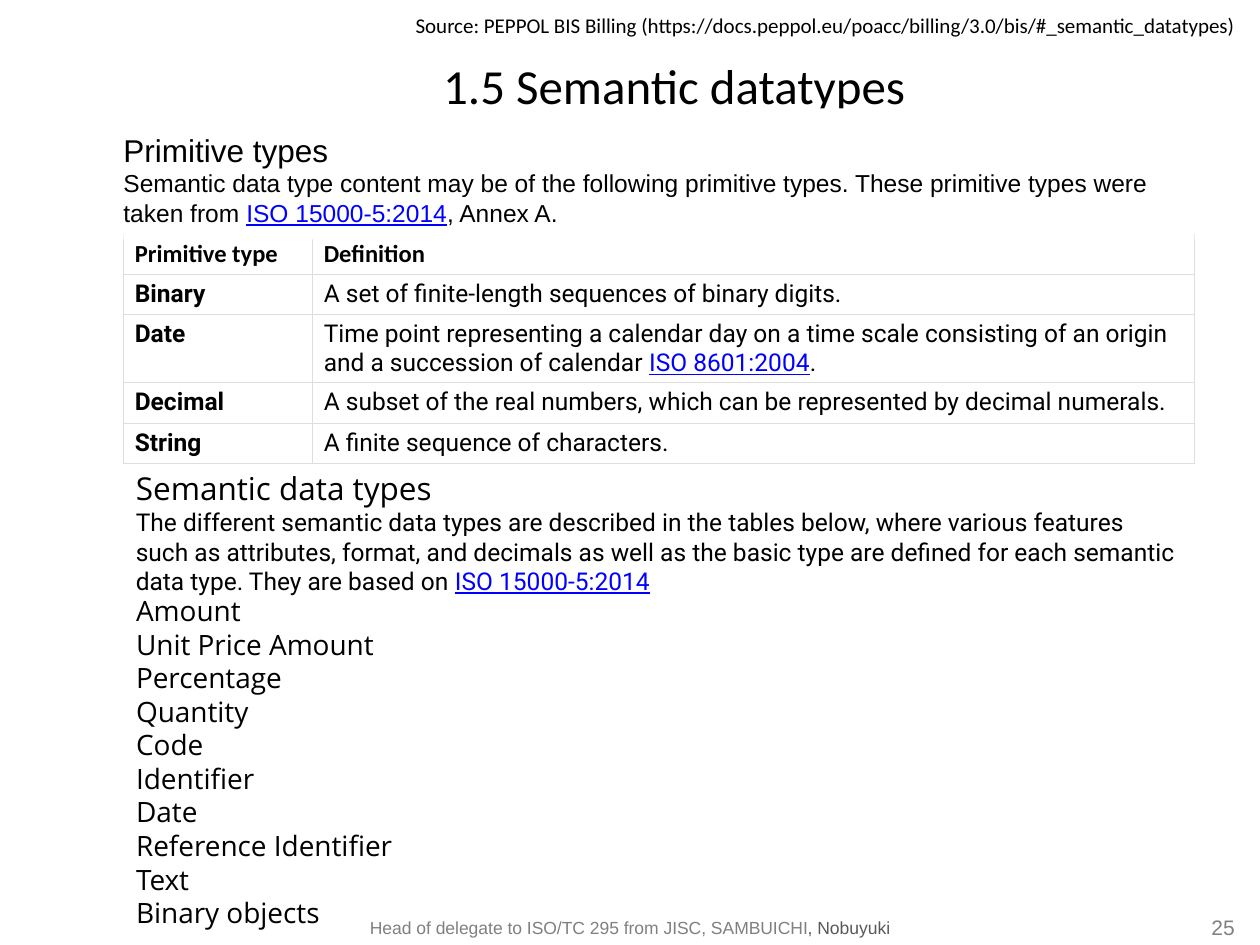
from lxml import etree
from pptx import Presentation
from pptx.dml.color import RGBColor
from pptx.enum.shapes import MSO_SHAPE
from pptx.enum.text import MSO_ANCHOR, MSO_AUTO_SIZE, PP_ALIGN
from pptx.oxml.ns import qn
from pptx.util import Pt

PX = 9144
BLACK = RGBColor(0x00, 0x00, 0x00)
WHITE = RGBColor(0xFF, 0xFF, 0xFF)
LINK = RGBColor(0x00, 0x00, 0xFF)
GRAY = RGBColor(0x80, 0x80, 0x80)
DARK_GRAY = RGBColor(0x59, 0x59, 0x59)
BORDER = RGBColor(0xDE, 0xDE, 0xDE)

RECT = MSO_SHAPE.RECTANGLE
TOP, MIDDLE, BOTTOM = MSO_ANCHOR.TOP, MSO_ANCHOR.MIDDLE, MSO_ANCHOR.BOTTOM
LEFT, CENTER, RIGHT = PP_ALIGN.LEFT, PP_ALIGN.CENTER, PP_ALIGN.RIGHT
NO_FIT = MSO_AUTO_SIZE.NONE

PRIMITIVES = [
    ("Binary", [("A set of finite-length sequences of binary digits.", BLACK)]),
    ("Date", [
        ("Time point representing a calendar day on a time scale consisting of "
         "an origin and a succession of calendar ", BLACK),
        ("ISO 8601:2004", LINK),
        (".", BLACK),
    ]),
    ("Decimal", [("A subset of the real numbers, which can be represented by "
                  "decimal numerals.", BLACK)]),
    ("String", [("A finite sequence of characters.", BLACK)]),
]
DATA_TYPES = ["Amount", "Unit Price Amount", "Percentage", "Quantity", "Code",
              "Identifier", "Date", "Reference Identifier", "Text",
              "Binary objects"]


def emu(*lengths):
    return [length * PX for length in lengths]


def place(sp, box):
    sp.left, sp.top, sp.width, sp.height = emu(*box)


def frame(tf, insets=(10, 5, 10, 5), anchor=TOP):
    tf.word_wrap = True
    tf.auto_size = NO_FIT
    tf.vertical_anchor = anchor
    (tf.margin_left, tf.margin_top,
     tf.margin_right, tf.margin_bottom) = emu(*insets)


def write(p, runs, font, size, bold=False, align=LEFT, spacing=None):
    p.alignment = align
    if spacing:
        p.line_spacing = Pt(spacing)
    for text, color in runs:
        r = p.add_run()
        r.text = text
        r.font.name = font
        r.font.size = Pt(size)
        r.font.bold = bold
        r.font.underline = color == LINK
        r.font.color.rgb = color


def add_text(slide, box, **layout):
    tf = slide.shapes.add_textbox(*emu(*box)).text_frame
    frame(tf, **layout)
    return tf


def add_title(slide, box):
    sp = slide.shapes.title
    place(sp, box)
    frame(sp.text_frame, (0, 0, 0, 0), BOTTOM)
    write(sp.text_frame.paragraphs[0], [("1.5 Semantic datatypes", BLACK)],
          "Calibri", 28, align=CENTER)


def add_source(slide, box):
    tf = add_text(slide, box)
    write(tf.paragraphs[0],
          [("Source: PEPPOL BIS Billing (https://docs.peppol.eu/poacc/billing/"
            "3.0/bis/#_semantic_datatypes)", BLACK)], "Calibri", 12)


def add_footer(slide, box):
    x, y, w, h = box
    tf = add_text(slide, (x, y + 5, 480, h - 5), anchor=MIDDLE)
    write(tf.paragraphs[0],
          [("Head of delegate to ISO/TC 295 from JISC, SAMBUICHI", GRAY),
           (", Nobuyuki", DARK_GRAY)], "Arial", 10, align=CENTER)
    tf = add_text(slide, (x + w - 55, y, 55, h), insets=(8, 8, 0, 0))
    write(tf.paragraphs[0], [("25", GRAY)], "Arial", 12, align=RIGHT)


def set_borders(cell):
    tc_pr = cell._tc.get_or_add_tcPr()
    for side in ("lnL", "lnR", "lnT", "lnB"):
        ln = etree.SubElement(tc_pr, qn("a:" + side), w=str(Pt(0.75)))
        fill = etree.SubElement(ln, qn("a:solidFill"))
        etree.SubElement(fill, qn("a:srgbClr"), val=str(BORDER))


def add_primitive_table(slide, box):
    rows = [("Primitive type", [("Definition", BLACK)])] + PRIMITIVES
    table = slide.shapes.add_table(len(rows), 2, *emu(*box)).table
    table.horz_banding = False
    table.columns[0].width, table.columns[1].width = emu(150, box[2] - 150)
    for i, (name, definition) in enumerate(rows):
        table.rows[i].height = (54 if name == "Date" else 32) * PX
        font = "Roboto" if i else "Calibri"
        for j, runs in enumerate(([(name, BLACK)], definition)):
            cell = table.cell(i, j)
            set_borders(cell)
            cell.fill.solid()
            cell.fill.fore_color.rgb = WHITE
            (cell.margin_left, cell.margin_top,
             cell.margin_right, cell.margin_bottom) = emu(9, 4, 9, 4)
            write(cell.text_frame.paragraphs[0], runs, font, 14,
                  bold=i == 0 or j == 0)


def add_primitive_intro(slide, box):
    sp = slide.shapes.add_shape(RECT, *emu(*box))
    sp.shadow.inherit = False
    sp.fill.solid()
    sp.fill.fore_color.rgb = WHITE
    sp.line.fill.background()
    tf = sp.text_frame
    frame(tf, (0, 17, 0, 9), MIDDLE)
    write(tf.paragraphs[0], [("Primitive types", BLACK)], "Arial", 18)
    write(tf.add_paragraph(),
          [("Semantic data type content may be of the following primitive "
            "types. These primitive types were taken from ", BLACK),
           ("ISO 15000-5:2014", LINK), (", Annex A.", BLACK)], "Arial", 14)


def add_semantic_intro(slide, box):
    tf = add_text(slide, box)
    write(tf.paragraphs[0], [("Semantic data types", BLACK)], "Open Sans", 18,
          spacing=22)
    write(tf.add_paragraph(),
          [("The different semantic data types are described in the tables "
            "below, where various features such as attributes, format, and "
            "decimals as well as the basic type are defined for each semantic "
            "data type. They are based on ", BLACK),
           ("ISO 15000-5:2014", LINK)], "Roboto", 14)


def add_type_list(slide, box):
    sp = slide.placeholders[1]
    place(sp, box)
    tf = sp.text_frame
    frame(tf)
    for i, name in enumerate(DATA_TYPES):
        p = tf.add_paragraph() if i else tf.paragraphs[0]
        p.space_before = Pt(0)
        p_pr = p._p.get_or_add_pPr()
        p_pr.set("marL", "0")
        p_pr.set("indent", "0")
        etree.SubElement(p_pr, qn("a:buNone"))
        write(p, [(name, BLACK)], "Open Sans", 16, spacing=19.2)


def main():
    prs = Presentation()
    prs.slide_width, prs.slide_height = emu(1000, 750)
    slide = prs.slides.add_slide(prs.slide_layouts[1])
    add_footer(slide, (260, 718, 720, 32))
    add_title(slide, (98, 30, 874, 61))
    add_primitive_table(slide, (98, 186, 850, 182))
    add_primitive_intro(slide, (98, 86, 850, 104))
    add_semantic_intro(slide, (98, 367, 850, 111))
    add_type_list(slide, (98, 466, 433, 279))
    add_source(slide, (320, 5, 680, 30))
    prs.save("out.pptx")


if __name__ == "__main__":
    main()
